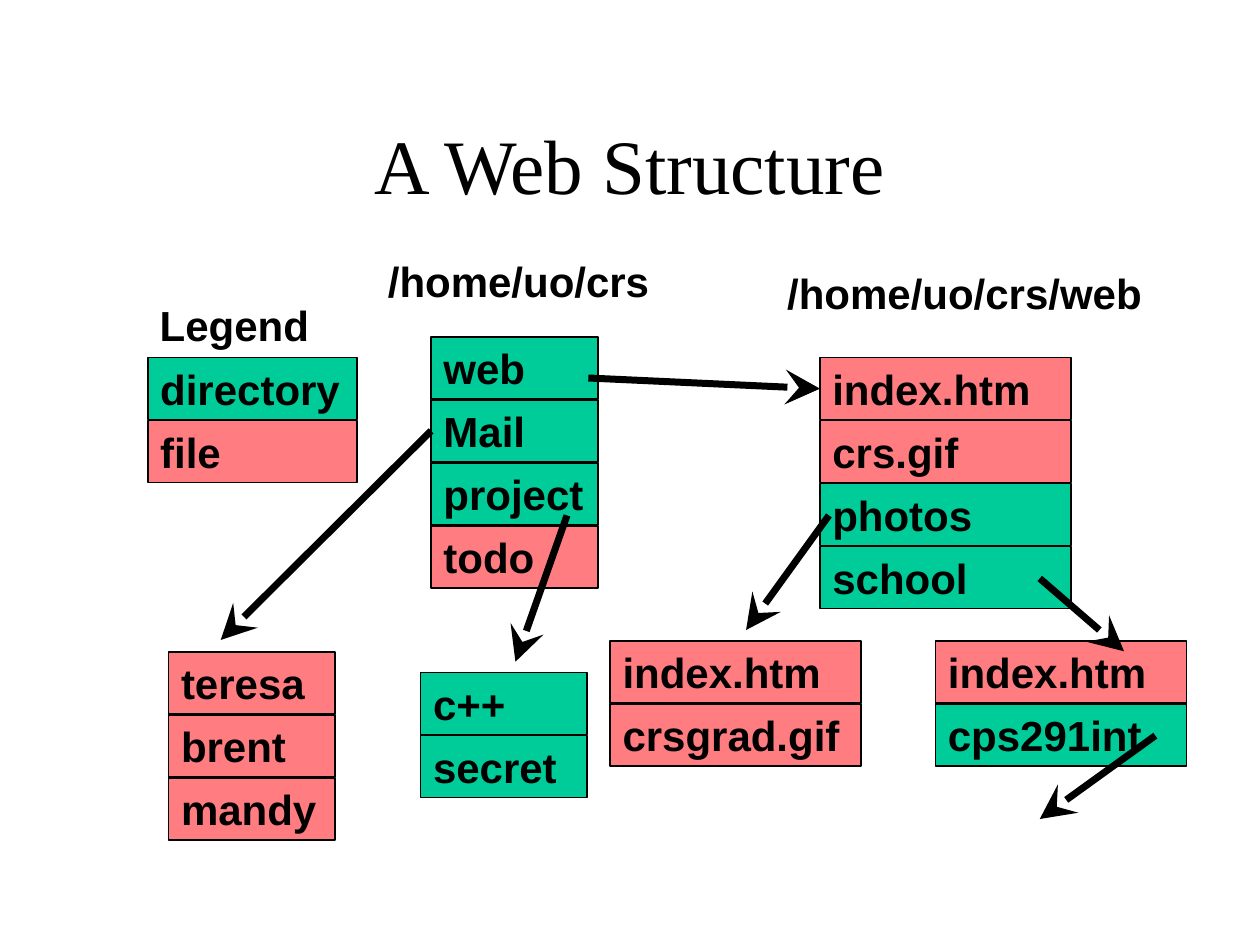
import pptx
import pptx.util
import pptx.dml.color
import pptx.enum.shapes
import pptx.enum.text
import pptx.oxml
import pptx.oxml.ns
from pptx.util import Cm

COLOURS = {"directory": "00CC99", "file": "FF7C80", "ink": "000000"}
ROW_STEP = 1.27
ROW_HEIGHT = 1.25


def colour(name):
    return pptx.dml.color.RGBColor.from_string(COLOURS[name])


def write(shape, text, font="Arial", size=24, bold=True, align="LEFT"):
    shape.text_frame.text = text
    shape.text_frame.vertical_anchor = pptx.enum.text.MSO_ANCHOR.MIDDLE
    para = shape.text_frame.paragraphs[0]
    para.alignment = getattr(pptx.enum.text.PP_ALIGN, align)
    span = para.runs[0]
    span.font.name = font
    span.font.size = pptx.util.Pt(size)
    span.font.bold = bold
    span.font.color.rgb = colour("ink")


deck = pptx.Presentation()
deck.slide_width = Cm(25.4)
deck.slide_height = Cm(19.05)
page = deck.slides.add_slide(deck.slide_layouts[5])

title = page.shapes.title
title.left, title.top, title.width, title.height = Cm(1.9), Cm(1.7), Cm(21.6), Cm(3.18)
write(title, "A Web Structure", "Times New Roman", 44, False, "CENTER")

labels = [
    ("/home/uo/crs", 7.57, 5.03, 5.9),
    ("/home/uo/crs/web", 15.62, 5.26, 7.8),
    ("Legend", 2.97, 5.92, 3.8),
]
for text, left, top, width in labels:
    box = page.shapes.add_textbox(Cm(left), Cm(top), Cm(width), Cm(ROW_STEP))
    box.text_frame.word_wrap = True
    write(box, text)

listings = {
    "legend": (2.98, 7.21, 4.22, [("directory", "directory"), ("file", "file")]),
    "crs": (8.69, 6.79, 3.37, [("web", "directory"), ("Mail", "directory"),
                               ("project", "directory"), ("todo", "file")]),
    "mail": (3.4, 13.14, 3.36, [("teresa", "file"), ("brent", "file"), ("mandy", "file")]),
    "project": (8.48, 13.56, 3.36, [("c++", "directory"), ("secret", "directory")]),
    "web": (16.53, 7.21, 5.06, [("index.htm", "file"), ("crs.gif", "file"),
                                ("photos", "directory"), ("school", "directory")]),
    "photos": (12.3, 12.92, 5.06, [("index.htm", "file"), ("crsgrad.gif", "file")]),
    "school": (18.86, 12.92, 5.06, [("index.htm", "file"), ("cps291int", "directory")]),
}
entries = {}
for listing, (left, top, width, rows) in listings.items():
    for index, (name, kind) in enumerate(rows):
        box = page.shapes.add_shape(
            pptx.enum.shapes.MSO_SHAPE.RECTANGLE,
            Cm(left), Cm(top + index * ROW_STEP), Cm(width), Cm(ROW_HEIGHT))
        box.shadow.inherit = False
        box.fill.solid()
        box.fill.fore_color.rgb = colour(kind)
        box.line.color.rgb = colour("ink")
        box.line.width = pptx.util.Pt(1)
        box.text_frame.word_wrap = True
        write(box, name)
        entries[listing, name] = box

arrows = {
    "Mail": (8.69, 8.69, 4.45, 12.9),
    "project": (11.43, 10.39, 10.39, 13.34),
    "web": (11.86, 7.62, 16.51, 7.82),
    "photos": (16.71, 10.39, 15.04, 12.7),
    "school": (20.96, 11.66, 22.66, 13.13),
    "cps291int": (23.29, 14.83, 20.96, 16.51),
}
connectors = {}
for name, ends in arrows.items():
    arrow = page.shapes.add_connector(
        pptx.enum.shapes.MSO_CONNECTOR.STRAIGHT, *[Cm(end) for end in ends])
    arrow.line.color.rgb = colour("ink")
    arrow.line.width = pptx.util.Pt(4)
    head = pptx.oxml.parse_xml(
        f'<a:tailEnd {pptx.oxml.ns.nsdecls("a")} type="stealth" w="lg" len="lg"/>')
    arrow.line._get_or_add_ln().append(head)
    arrow._element.spPr.append(
        pptx.oxml.parse_xml(f'<a:effectLst {pptx.oxml.ns.nsdecls("a")}/>'))
    connectors[name] = arrow
connectors["Mail"].begin_connect(entries["crs", "Mail"], 1)
connectors["web"].end_connect(entries["web", "index.htm"], 1)

deck.save("out.pptx")
